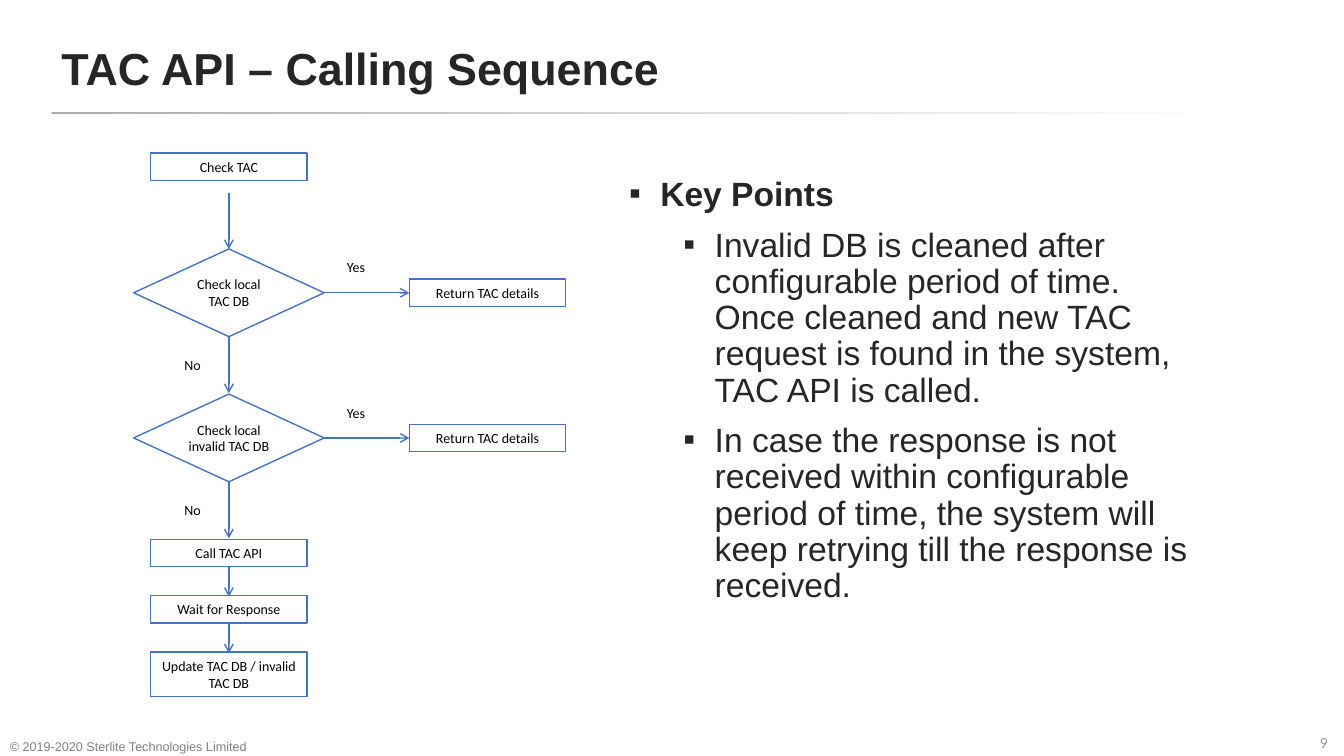
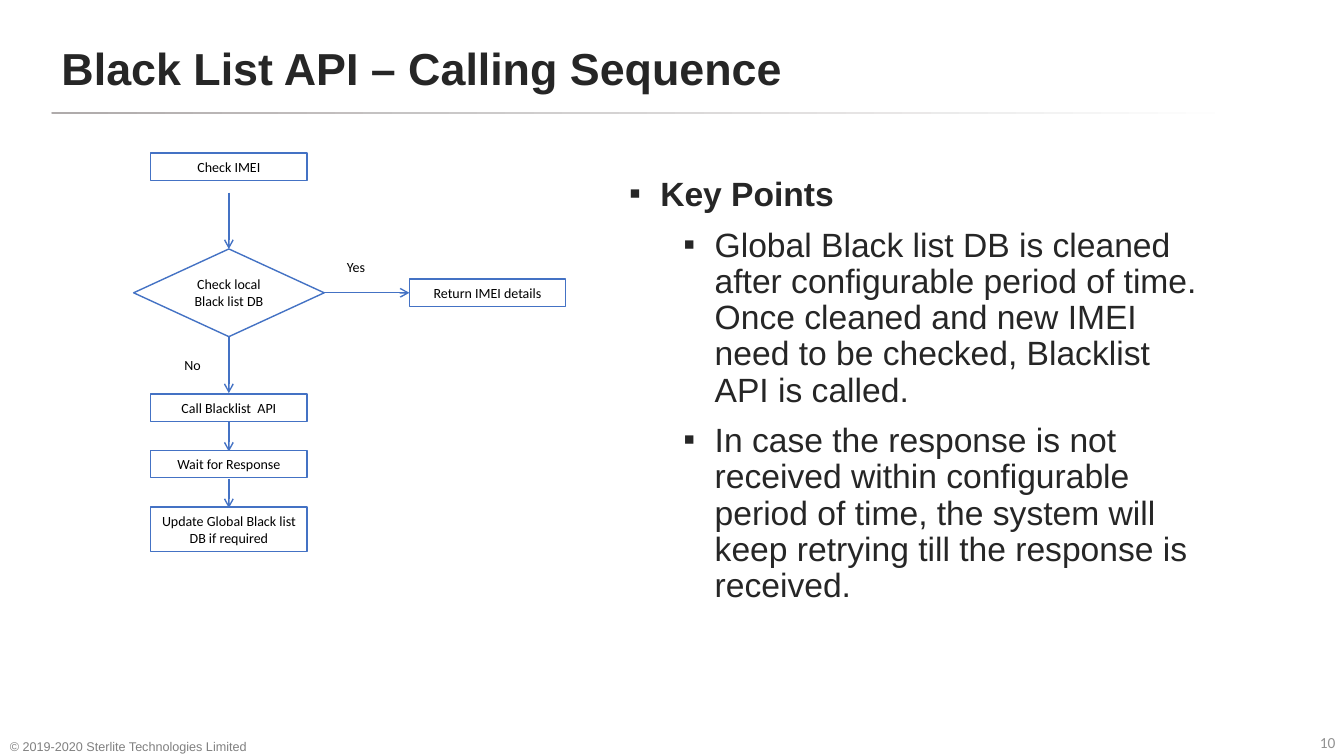
"""Build the API calling sequence slides."""
from lxml.etree import SubElement
from pptx import Presentation
from pptx.dml.color import RGBColor
from pptx.enum.shapes import MSO_CONNECTOR, MSO_SHAPE
from pptx.enum.text import MSO_ANCHOR, PP_ALIGN
from pptx.oxml.ns import qn
from pptx.util import Inches, Pt

BLUE, WHITE, BLACK, INK = "4472C4", "FFFFFF", "000000", "262626"
RULE_GREY, NUMBER_GREY, FOOTER_GREY = "AFABAB", "929292", "808080"
COPYRIGHT = "© 2019-2020 Sterlite Technologies Limited"
RETRY_POINT = ("In case the response is not received within configurable period of time, "
               "the system will keep retrying till the response is received.")

CENTER = 2.27
START_TOP, FIRST_DECISION_TOP = 1.52, 2.47
DECISION_PITCH, STEP_PITCH = 1.44, 0.56
DIAMOND_WIDTH, DIAMOND_HEIGHT = 1.89, 0.87
BOX_WIDTH, BOX_HEIGHT, TALL_BOX_HEIGHT = 1.55, 0.27, 0.44
RESULT_LEFT = 4.06

SEQUENCES = [
    {
        "number": 9,
        "title": "TAC API – Calling Sequence",
        "start": "Check TAC",
        "decisions": ["Check local TAC DB", "Check local invalid TAC DB"],
        "result": "Return TAC details",
        "steps": ["Call TAC API", "Wait for Response", "Update TAC DB / invalid TAC DB"],
        "points": ["Invalid DB is cleaned after configurable period of time. Once cleaned and "
                   "new TAC request is found in the system, TAC API is called.", RETRY_POINT],
    },
    {
        "number": 10,
        "title": "Black List API – Calling Sequence",
        "start": "Check IMEI",
        "decisions": ["Check local Black list DB"],
        "result": "Return IMEI details",
        "steps": ["Call Blacklist  API", "Wait for Response",
                  "Update Global Black list DB if required"],
        "points": ["Global Black list DB is cleaned after configurable period of time. Once "
                   "cleaned and new IMEI need to be checked, Blacklist API is called.",
                   RETRY_POINT],
    },
]


def color(hex_code):
    """Return the colour for a hex string."""
    return RGBColor.from_string(hex_code)


def write(paragraph, text, size=10, font="Calibri", ink=BLACK, bold=False,
          align=PP_ALIGN.LEFT):
    """Fill a paragraph with formatted text."""
    paragraph.text = text
    paragraph.alignment = align
    paragraph.font.size = Pt(size)
    paragraph.font.name = font
    paragraph.font.bold = bold
    paragraph.font.color.rgb = color(ink)


def set_insets(frame, inset):
    """Give a text frame the same inset on all sides."""
    frame.margin_left = frame.margin_right = Inches(inset)
    frame.margin_top = frame.margin_bottom = Inches(inset)


def add_label(slide, text, left, top, width, height=BOX_HEIGHT, **style):
    """Add a short unwrapped label."""
    frame = slide.shapes.add_textbox(
        Inches(left), Inches(top), Inches(width), Inches(height)).text_frame
    frame.word_wrap = False
    set_insets(frame, 0.05)
    write(frame.paragraphs[0], text, **style)


def add_node(slide, preset, text, left, top, width, height):
    """Add an outlined flowchart node."""
    node = slide.shapes.add_shape(
        preset, Inches(left), Inches(top), Inches(width), Inches(height))
    node.shadow.inherit = False
    node.fill.solid()
    node.fill.fore_color.rgb = color(WHITE)
    node.line.color.rgb = color(BLUE)
    node.line.width = Pt(1)
    frame = node.text_frame
    frame.word_wrap = True
    frame.vertical_anchor = MSO_ANCHOR.MIDDLE
    set_insets(frame, 0.05)
    write(frame.paragraphs[0], text, align=PP_ALIGN.CENTER)


def add_box(slide, text, top, left=CENTER - BOX_WIDTH / 2, height=BOX_HEIGHT):
    """Add a rectangular step, on the main flow by default."""
    add_node(slide, MSO_SHAPE.RECTANGLE, text, left, top, BOX_WIDTH, height)


def add_arrow(slide, x1, y1, x2, y2):
    """Add a flow arrow."""
    arrow = slide.shapes.add_connector(
        MSO_CONNECTOR.STRAIGHT, Inches(x1), Inches(y1), Inches(x2), Inches(y2))
    arrow.line.color.rgb = color(BLUE)
    arrow.line.width = Pt(1)
    SubElement(arrow.line._get_or_add_ln(), qn("a:tailEnd"), type="arrow")
    SubElement(arrow._element.spPr, qn("a:effectLst"))


def add_decision(slide, question, result, top):
    """Add a decision with its Yes and No branches."""
    bottom, middle = top + DIAMOND_HEIGHT, top + DIAMOND_HEIGHT / 2
    right = CENTER + DIAMOND_WIDTH / 2
    add_node(slide, MSO_SHAPE.DIAMOND, question, CENTER - DIAMOND_WIDTH / 2, top,
             DIAMOND_WIDTH, DIAMOND_HEIGHT)
    add_arrow(slide, right, middle, RESULT_LEFT, middle)
    add_arrow(slide, CENTER, bottom, CENTER, top + DECISION_PITCH - 0.01)
    add_label(slide, "Yes", 3.39, top + 0.05, 0.29)
    add_label(slide, "No", 1.78, top + 1.02, 0.27)
    add_box(slide, result, middle - BOX_HEIGHT / 2, left=RESULT_LEFT)


def add_flow(slide, sequence):
    """Add the flowchart from the first check to the last step."""
    add_box(slide, sequence["start"], START_TOP)
    add_arrow(slide, CENTER, 1.91, CENTER, FIRST_DECISION_TOP)
    top = FIRST_DECISION_TOP
    for question in sequence["decisions"]:
        add_decision(slide, question, sequence["result"], top)
        top += DECISION_PITCH
    *short_steps, last_step = sequence["steps"]
    for step in short_steps:
        add_box(slide, step, top)
        add_arrow(slide, CENTER, top + BOX_HEIGHT + 0.01, CENTER, top + STEP_PITCH + 0.01)
        top += STEP_PITCH
    add_box(slide, last_step, top, height=TALL_BOX_HEIGHT)


def add_point(paragraph, text, indent, bold=False):
    """Fill a paragraph as a square-bulleted point."""
    properties = paragraph._p.get_or_add_pPr()
    properties.set("marL", str(Inches(indent)))
    properties.set("indent", str(Inches(-0.31)))
    SubElement(properties, qn("a:buFont"), typeface="Arial")
    SubElement(properties, qn("a:buChar"), char="▪")
    write(paragraph, text, size=24, font="Arial", ink=INK, bold=bold)
    paragraph.line_spacing = Pt(25.9)


def add_key_points(slide, points):
    """Add the key points beside the flowchart."""
    frame = slide.shapes.add_textbox(
        Inches(6.14), Inches(1.71), Inches(5.95), Inches(4.96)).text_frame
    frame.word_wrap = True
    add_point(frame.paragraphs[0], "Key Points", 0.31, bold=True)
    for point in points:
        paragraph = frame.add_paragraph()
        paragraph.level = 1
        add_point(paragraph, point, 0.85)
        paragraph.space_before = Pt(10)


def add_title(slide, text):
    """Place the title and the fading rule below it."""
    title = slide.shapes.title
    title.left, title.top = Inches(0.51), Inches(0.23)
    title.width, title.height = Inches(9.92), Inches(0.88)
    title.text_frame.vertical_anchor = MSO_ANCHOR.MIDDLE
    write(title.text_frame.paragraphs[0], text, size=32, font="Arial", ink=INK, bold=True)
    rule = slide.shapes.add_shape(
        MSO_SHAPE.ROUNDED_RECTANGLE, Inches(0.51), Inches(1.11), Inches(12.31), Inches(0.02))
    rule.adjustments[0] = 0.5
    rule.shadow.inherit = False
    rule.line.fill.background()
    rule.fill.gradient()
    rule.fill.gradient_angle = 0
    for stop, shade, position in zip(rule.fill.gradient_stops, (RULE_GREY, WHITE), (0, 0.96)):
        stop.color.rgb = color(shade)
        stop.position = position


def add_footer(slide, number):
    """Add the copyright line and the slide number."""
    frame = slide.shapes.add_textbox(
        Inches(0), Inches(7.22), Inches(3.03), Inches(0.31)).text_frame
    frame.word_wrap = True
    frame.vertical_anchor = MSO_ANCHOR.BOTTOM
    write(frame.paragraphs[0], COPYRIGHT, size=9, font="Arial", ink=FOOTER_GREY)
    add_label(slide, str(number), 13.04, 7.22, 0.27, 0.25, size=11, ink=NUMBER_GREY)


def main():
    """Build and save the presentation."""
    deck = Presentation()
    deck.slide_width, deck.slide_height = Inches(13.33), Inches(7.5)
    for sequence in SEQUENCES:
        slide = deck.slides.add_slide(deck.slide_layouts[5])
        add_title(slide, sequence["title"])
        add_footer(slide, sequence["number"])
        add_flow(slide, sequence)
        add_key_points(slide, sequence["points"])
    deck.save("out.pptx")


if __name__ == "__main__":
    main()
